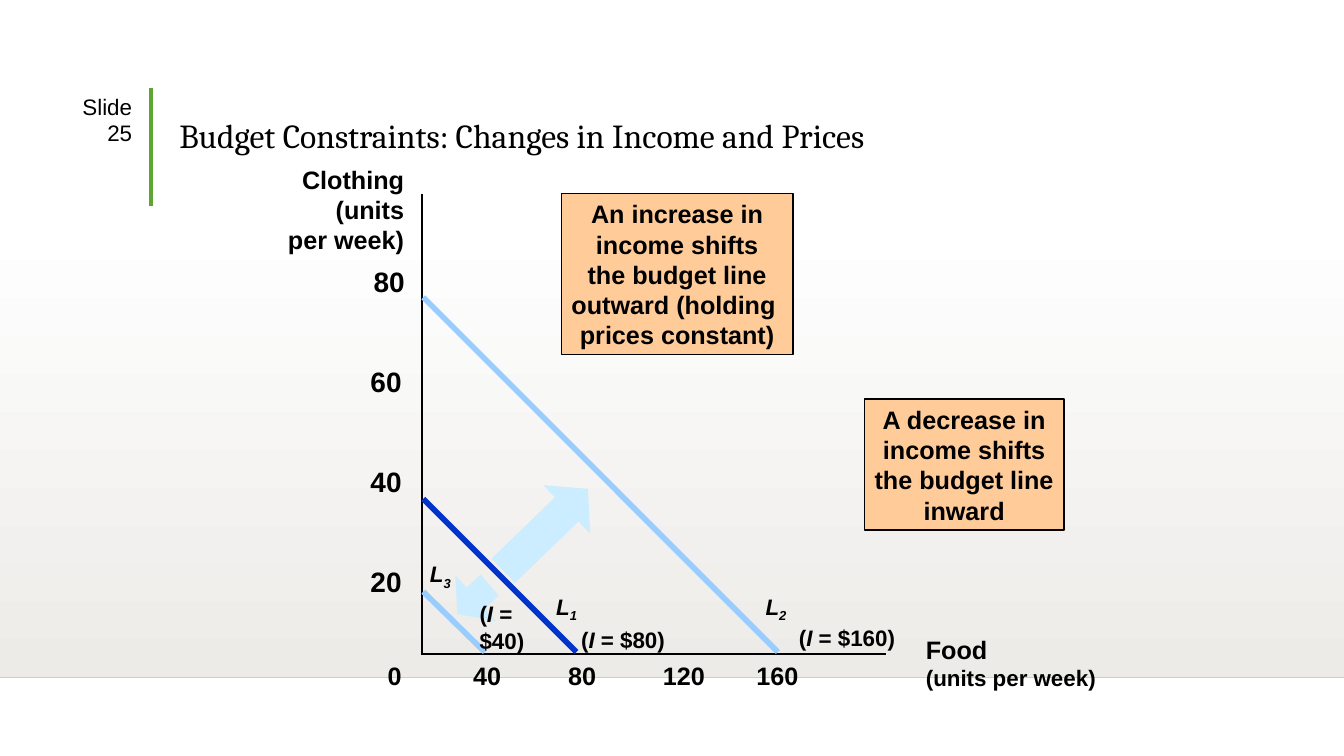
from dataclasses import dataclass

from lxml import etree
from pptx import Presentation
from pptx.dml.color import RGBColor
from pptx.enum.shapes import MSO_CONNECTOR, MSO_SHAPE
from pptx.enum.text import MSO_ANCHOR, PP_ALIGN
from pptx.oxml.ns import qn
from pptx.util import Cm, Pt

STRAIGHT = MSO_CONNECTOR.STRAIGHT
RECT, RIGHT_ARROW = MSO_SHAPE.RECTANGLE, MSO_SHAPE.RIGHT_ARROW
LEFT, CENTER, RIGHT = PP_ALIGN.LEFT, PP_ALIGN.CENTER, PP_ALIGN.RIGHT
TOP, BOTTOM = MSO_ANCHOR.TOP, MSO_ANCHOR.BOTTOM


@dataclass(frozen=True)
class Theme:
    """Colours, fonts and type sizes of the slide."""
    ink: str = "000000"
    paper: str = "FFFFFF"
    floor: str = "EDEBE7"
    floor_edge: str = "CCCCC8"
    accent: str = "5FA534"
    shifted: str = "99CCFF"
    initial: str = "0033CC"
    arrow: str = "CCECFF"
    note: str = "FFCC99"
    title_font: str = "Cambria"
    body_font: str = "Arial"
    title: int = 24
    axis: int = 20
    body: int = 18
    small: int = 16


T = Theme()


def rgb(color):
    """Return a hex string as a colour."""
    return RGBColor.from_string(color)


def cms(values):
    """Return a list of lengths given in centimetres."""
    return [Cm(v) for v in values]


def write(tf, lines, size=T.body, font=T.body_font, bold=True, align=LEFT,
          anchor=TOP, wrap=False, spacing=None):
    """Fill a text frame; a line is a string or a list of (text, italic, subscript)."""
    tf.word_wrap = wrap
    tf.vertical_anchor = anchor
    for i, line in enumerate(lines):
        p = tf.paragraphs[0] if i == 0 else tf.add_paragraph()
        p.alignment = align
        p.line_spacing = spacing
        runs = [(line, False, False)] if isinstance(line, str) else line
        for text, italic, subscript in runs:
            r = p.add_run()
            r.text = text
            r.font.name, r.font.size = font, Pt(size)
            r.font.bold, r.font.italic = bold, italic
            r.font.color.rgb = rgb(T.ink)
            if subscript:
                r._r.get_or_add_rPr().set("baseline", "-25000")


def add_text(s, box, lines, **fmt):
    """Add a text box."""
    write(s.shapes.add_textbox(*cms(box)).text_frame, lines, **fmt)


def add_line(s, ends, color, width):
    """Add a straight line from one point to another."""
    line = s.shapes.add_connector(STRAIGHT, *cms(ends))
    line.line.color.rgb = rgb(color)
    line.line.width = Pt(width)
    etree.SubElement(line._element.spPr, qn("a:effectLst"))


def fill_plain(sp, color):
    """Give a shape a solid fill with no outline or shadow."""
    sp.shadow.inherit = False
    sp.fill.solid()
    sp.fill.fore_color.rgb = rgb(color)
    sp.line.fill.background()


def add_note(s, box, lines):
    """Add an outlined explanation box."""
    sp = s.shapes.add_shape(RECT, *cms(box))
    fill_plain(sp, T.note)
    sp.line.color.rgb = rgb(T.ink)
    sp.line.width = Pt(1)
    write(sp.text_frame, lines, align=CENTER)


def add_budget_label(s, number, name_at, income_box, income):
    """Name a budget line and state its income."""
    add_text(s, (*name_at, 1.04, 1.02),
             [[("L", True, False), (number, True, True)]], size=T.small)
    first, *rest = income
    add_text(s, income_box,
             [[("(", False, False), ("I", True, False), (first, False, False)], *rest],
             size=T.small)


def add_backdrop(s):
    """Add the shaded floor, its edge and the accent bar."""
    sp = s.shapes.add_shape(RECT, *cms((0, 5.59, 33.88, 11.48)))
    fill_plain(sp, T.floor)
    sp.fill.gradient()
    sp.fill.gradient_angle = 270
    for stop, color in zip(sp.fill.gradient_stops, (T.paper, T.floor)):
        stop.color.rgb = rgb(color)
    add_line(s, (0, 17.07, 33.88, 17.07), T.floor_edge, 1)
    add_line(s, (3.81, 2.21, 3.81, 5.18), T.accent, 3)


def add_axes(s):
    """Add both axes with their titles and tick labels."""
    add_line(s, (10.64, 4.88, 10.64, 16.51), T.ink, 2)
    add_line(s, (10.67, 16.48, 22.33, 16.48), T.ink, 2)
    add_text(s, (7.01, 4.01, 3.43, 2.54), ["Clothing", "(units", "per week)"], align=RIGHT)
    add_text(s, (23.09, 15.85, 4.8, 0.91), ["Food"])
    add_text(s, (23.09, 16.62, 4.8, 0.91), ["(units per week)"], size=T.small)
    for i, value in enumerate((80, 60, 40, 20)):
        left = 9.17 if i == 0 else 9.09
        add_text(s, (left, 6.55 + 2.515 * i, 1.3, 1.09), [str(value)], size=T.axis)
    for value, left in ((0, 9.52), (40, 11.68), (80, 14.07), (120, 16.46), (160, 18.82)):
        width = 0.5 + 0.36 * len(str(value))
        add_text(s, (left, 16.51, width, 1.02), [str(value)])


def add_shift_arrows(s):
    """Add the outward and inward shift arrows."""
    outward = s.shapes.add_shape(RIGHT_ARROW, *cms((12.27, 12.5, 2.97, 1.7)))
    outward.adjustments[1] = 0.438
    outward.rotation = 316
    fill_plain(outward, T.arrow)
    points = [cms(pt) for pt in ((11.48, 14.5), (11.76, 14.81), (12.12, 14.48), (12.57, 15.01),
                                 (12.22, 15.34), (12.5, 15.65), (11.53, 15.47))]
    fb = s.shapes.build_freeform(*points[0])
    fb.add_line_segments(points[1:], close=True)
    fill_plain(fb.convert_to_shape(), T.arrow)


def main():
    """Build the budget constraint slide."""
    prs = Presentation()
    prs.slide_width, prs.slide_height = Cm(33.88), Cm(19.05)
    s = prs.slides.add_slide(prs.slide_layouts[6])
    add_backdrop(s)
    add_text(s, (4.27, 1.14, 26.44, 2.92), ["Budget Constraints: Changes in Income and Prices"],
             size=T.title, font=T.title_font, bold=False, anchor=BOTTOM, wrap=True, spacing=0.9)
    add_text(s, (1.32, 2.21, 2.26, 1.4), ["Slide 25"], size=T.small, bold=False,
             align=RIGHT, wrap=True)
    add_axes(s)
    add_shift_arrows(s)
    for top, right, color in ((7.49, 19.61, T.shifted), (12.57, 14.53, T.initial),
                              (14.91, 12.22, T.shifted)):
        add_line(s, (10.67, top, right, 16.43), color, 4)
    add_budget_label(s, "2", (19.05, 14.81), (19.89, 15.6, 3.2, 0.91), [" = $160)"])
    add_budget_label(s, "1", (13.77, 14.81), (14.4, 15.65, 2.9, 0.91), [" = $80)"])
    add_budget_label(s, "3", (10.59, 14), (11.84, 15.01, 1.63, 1.6), [" =", "$40)"])
    add_note(s, (14.15, 4.88, 5.84, 4.06),
             ["An increase in", "income shifts", "the budget line", "outward (holding ",
              "prices constant)"])
    add_note(s, (21.79, 10.06, 5.03, 3.3),
             ["A decrease in", "income shifts", "the budget line", "inward"])
    prs.save("out.pptx")


if __name__ == "__main__":
    main()
